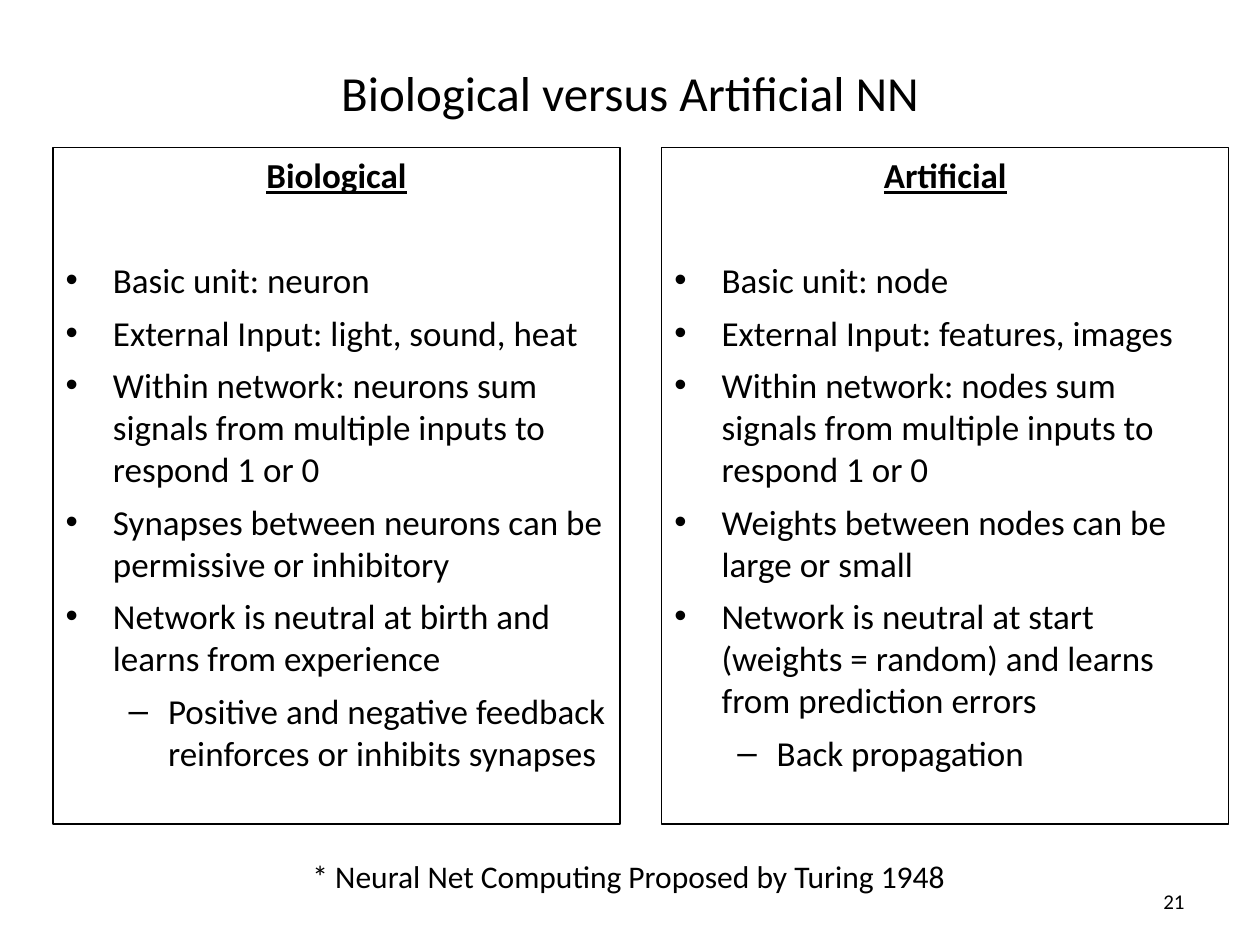
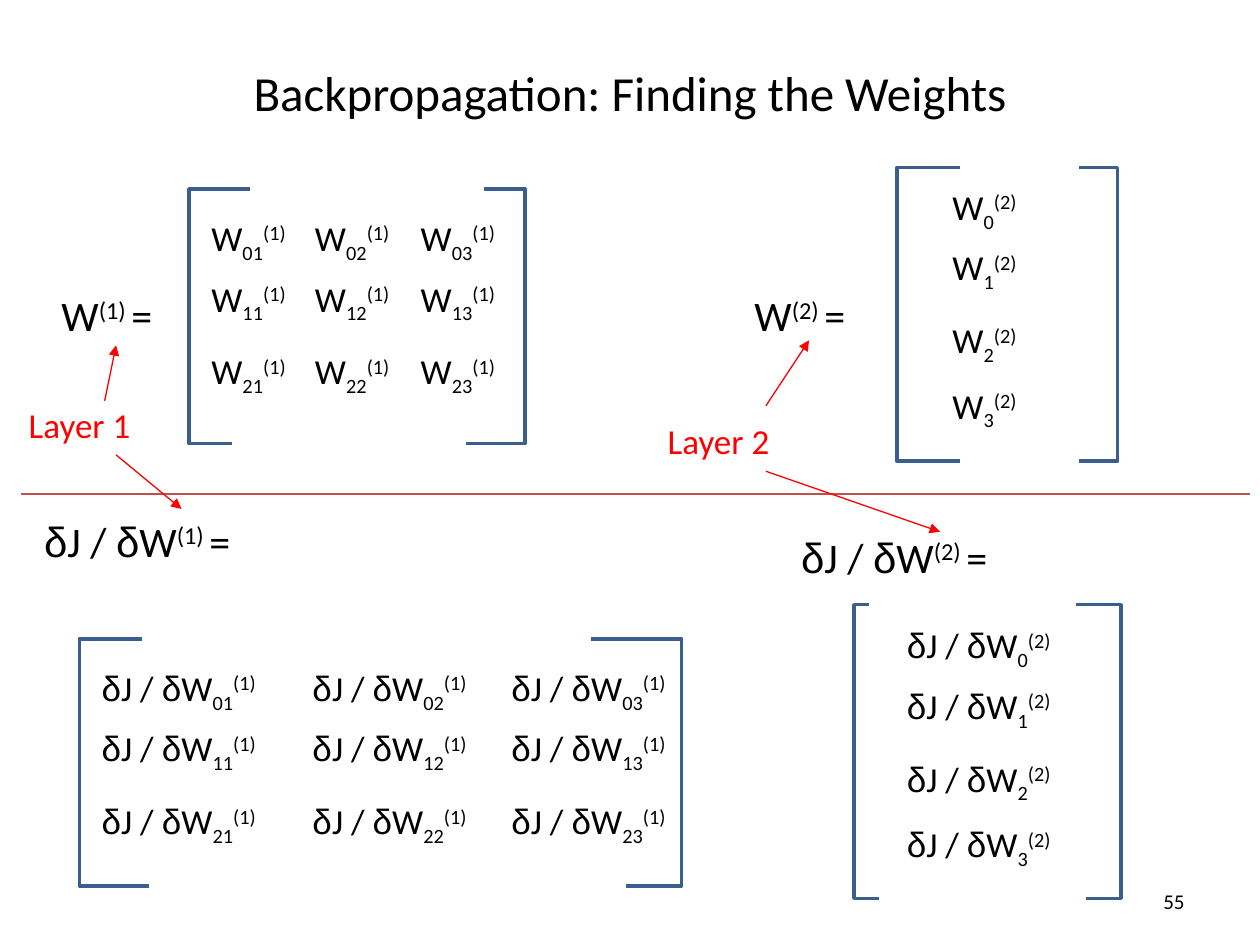
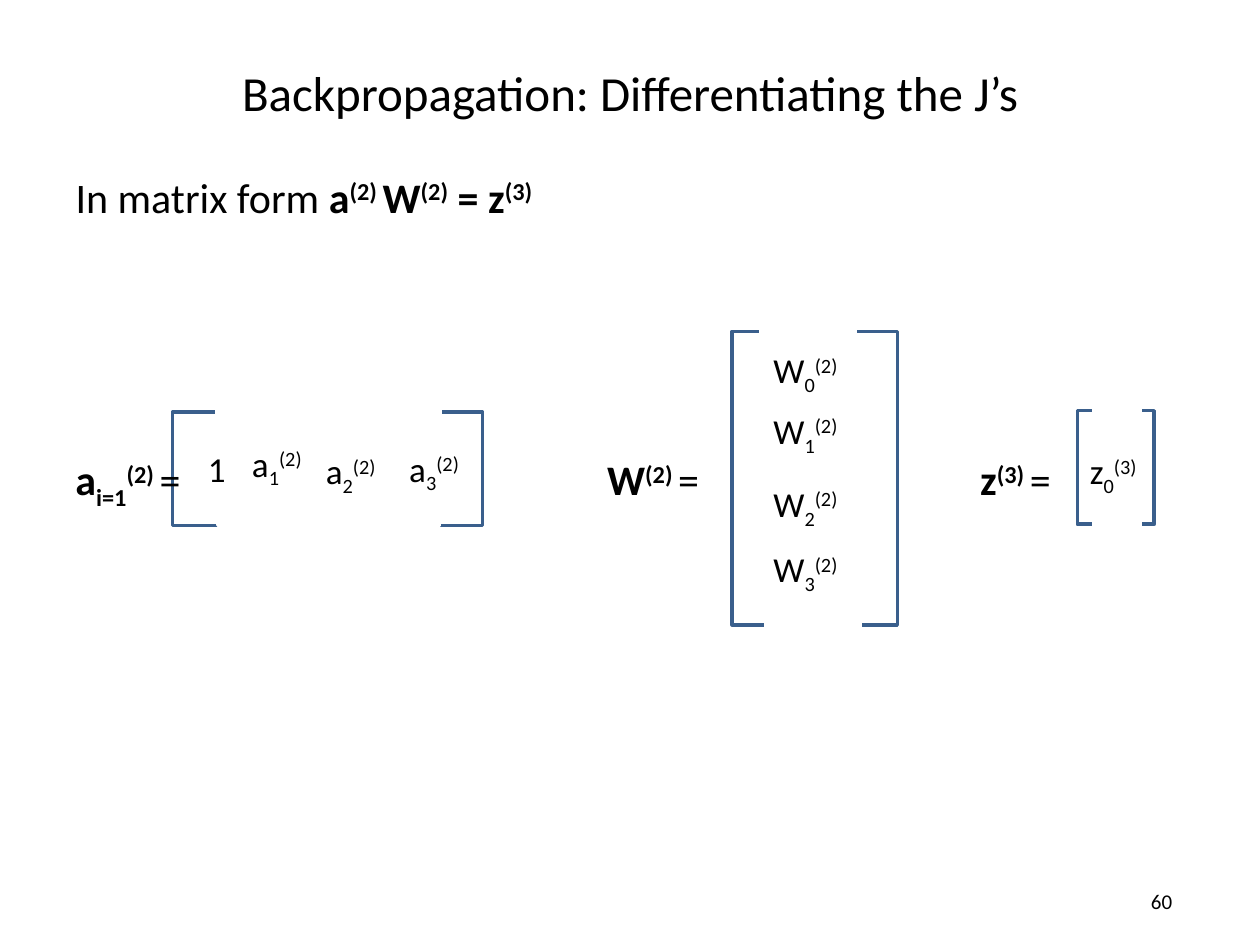
from lxml.etree import SubElement
from pptx import Presentation
from pptx.dml.color import RGBColor
from pptx.enum.shapes import MSO_CONNECTOR, MSO_SHAPE
from pptx.enum.text import MSO_ANCHOR, MSO_AUTO_SIZE, PP_ALIGN
from pptx.oxml.ns import qn
from pptx.util import Cm, Pt

BLACK = RGBColor(0x00, 0x00, 0x00)
WHITE = RGBColor(0xFF, 0xFF, 0xFF)
RED = RGBColor(0xFF, 0x00, 0x00)
BRICK = RGBColor(0xC0, 0x50, 0x4D)
BRACKET_BLUE = RGBColor(0x3A, 0x5F, 0x8C)

BASELINES = {"_": -25000, "^": 30000}
LINE_HEIGHTS = {24: 1.27, 20: 1.12, 18: 1.02, 12: 1.02}
MATRIX_ROWS = [0, 1.22, 2.69, 4.01]
DERIVATIVE = "δ|J / |δ|W"


def write(paragraph, markup, size, color=BLACK, **extra):
    """Add runs split at |, where ! marks bold, _ subscript and ^ superscript."""
    for part in markup.split("|"):
        bold = part.startswith("!")
        part = part.lstrip("!")
        baseline = BASELINES.get(part[0])
        run = paragraph.add_run()
        run.text = part[1:] if baseline else part
        font_format = {"name": "Arial" if part == "δ" else "Calibri",
                       "size": Pt(size), "bold": bold, **extra}
        for attribute, value in font_format.items():
            setattr(run.font, attribute, value)
        run.font.color.rgb = color
        if baseline:
            run.font._element.set("baseline", str(baseline))


def add_label(slide, markup, left, top, width, size=20, color=BLACK):
    label = slide.shapes.add_textbox(Cm(left), Cm(top), Cm(width), Cm(LINE_HEIGHTS[size]))
    label.text_frame.word_wrap = False
    write(label.text_frame.paragraphs[0], markup, size, color)
    return label.text_frame


presentation = Presentation()
presentation.slide_width, presentation.slide_height = Cm(25.4), Cm(19.05)

# Titles and page numbers: title, layout, page number, left of the number
pages = [
    ("Biological versus Artificial NN", 3, "21", 18.21),
    ("Backpropagation: Finding the Weights", 5, "55", 18.21),
    ("Backpropagation: Differentiating the J’s", 1, "60", 17.96),
]
for heading, layout, number, number_left in pages:
    slide = presentation.slides.add_slide(presentation.slide_layouts[layout])
    title = slide.shapes.title
    title.left, title.top, title.width, title.height = Cm(1.27), Cm(1.07), Cm(22.86), Cm(1.57)
    title.text_frame.vertical_anchor = MSO_ANCHOR.MIDDLE
    title.text_frame.auto_size = MSO_AUTO_SIZE.NONE
    title.text_frame.paragraphs[0].alignment = PP_ALIGN.CENTER
    write(title.text_frame.paragraphs[0], heading, 28)
    page_number = add_label(slide, number, number_left, 17.65, 5.92, 12)
    page_number.word_wrap = True
    page_number.vertical_anchor = MSO_ANCHOR.MIDDLE
    page_number.paragraphs[0].alignment = PP_ALIGN.RIGHT

comparison, weights, differentiation = presentation.slides

# Comparison: two framed lists, the last entry one level down
networks = [
    (1, 1.07, "Biological", [
        "Basic unit: neuron",
        "External Input: light, sound, heat",
        "Within network: neurons sum signals from multiple inputs to respond 1 or 0",
        "Synapses between neurons can be permissive or inhibitory",
        "Network is neutral at birth and learns from experience",
        "Positive and negative feedback reinforces or inhibits synapses",
    ]),
    (2, 13.34, "Artificial", [
        "Basic unit: node",
        "External Input: features, images",
        "Within network: nodes sum signals from multiple inputs to respond 1 or 0",
        "Weights between nodes can be large or small",
        "Network is neutral at start (weights = random) and learns from prediction errors",
        "Back propagation",
    ]),
]
for index, left, kind, traits in networks:
    column = comparison.placeholders[index]
    column.left, column.top, column.width, column.height = Cm(left), Cm(2.97), Cm(11.43), Cm(13.64)
    column.line.color.rgb = BLACK
    column.line.width = Pt(0.75)
    frame = column.text_frame
    frame.auto_size = MSO_AUTO_SIZE.NONE
    kind_line = frame.paragraphs[0]
    kind_line.alignment = PP_ALIGN.CENTER
    kind_line.space_before = Pt(6)
    write(kind_line, "!" + kind, 20, underline=True)
    properties = kind_line._p.get_or_add_pPr()
    properties.set("marL", "0")
    properties.set("indent", "0")
    SubElement(properties, qn("a:buNone"))
    for position, trait in enumerate(traits):
        entry = frame.add_paragraph()
        entry.level = 1 if trait == traits[-1] else 0
        entry.space_before = Pt(6 if position else 36)
        write(entry, trait, 20)
add_label(comparison, "* Neural Net Computing Proposed by Turing 1948", 6.05, 17.15, 13.56, 18)

# Matrix brackets: a frame whose top and bottom are opened by white bars
brackets = [
    (weights, (3.81, 3.81, 6.78, 5.13), (5.08, 3.61, 4.65, 0.43), (4.72, 8.69, 4.65, 0.43)),
    (weights, (18.08, 3.38, 4.45, 5.92), (19.38, 3.18, 2.34, 0.43), (19.38, 9.09, 2.34, 0.43)),
    (weights, (1.6, 12.88, 12.14, 4.98), (2.9, 12.62, 8.99, 0.48), (3.05, 17.58, 9.53, 0.43)),
    (weights, (17.22, 12.19, 5.38, 5.92), (17.55, 11.94, 4.11, 0.51), (17.75, 17.91, 4.11, 0.51)),
    (differentiation, (14.76, 6.68, 3.33, 5.92), (15.34, 6.55, 1.9, 0.33), (15.44, 12.42, 1.9, 0.33)),
    (differentiation, (21.72, 8.28, 1.55, 2.29), (22.05, 7.98, 0.94, 0.41), (22.05, 10.36, 0.94, 0.58)),
    (differentiation, (3.48, 8.31, 6.25, 2.29), (4.37, 8, 4.5, 0.41), (4.39, 10.29, 4.47, 0.3)),
]
for slide, outline, *openings in brackets:
    for box in (outline, *openings):
        bar = slide.shapes.add_shape(MSO_SHAPE.RECTANGLE, *map(Cm, box))
        bar.shadow.inherit = False
        bar.line.width = Pt(2)
        if box is outline:
            bar.fill.background()
            bar.line.color.rgb = BRACKET_BLUE
        else:
            bar.fill.solid()
            bar.fill.fore_color.rgb = WHITE
            bar.line.color.rgb = WHITE

# Matrix entries: symbol, layer, column lefts, top, entry width, row count
matrices = [
    (weights, "W", 1, [4.01, 6.1, 8.23], 4.24, 2.16, 3),
    (weights, "W", 2, [18.95], 3.61, 1.9, 4),
    (weights, DERIVATIVE, 1, [1.8, 6.05, 10.06], 13.31, 3.68, 3),
    (weights, DERIVATIVE, 2, [18.03], 12.45, 3.43, 4),
    (differentiation, "W", 2, [15.34], 6.91, 1.9, 4),
]
for slide, symbol, layer, lefts, top, width, row_count in matrices:
    for row, offset in enumerate(MATRIX_ROWS[:row_count]):
        for col, left in enumerate(lefts, start=1):
            subscript = f"{row}{col}" if len(lefts) > 1 else row
            add_label(slide, f"{symbol}|_{subscript}|^({layer})", left, top + offset, width)

# Names of the matrices
names = [
    (weights, "W|^(1) |=", 0.99, 5.72, 2.59),
    (weights, "W|^(2) |=", 14.96, 5.72, 2.59),
    (weights, DERIVATIVE + "|^(1) |=", 0.64, 10.26, 4.42),
    (weights, DERIVATIVE + "|^(2) |=", 15.9, 10.59, 4.42),
    (differentiation, "!a|!_i=1|!^(2) |=", 1.27, 9.02, 2.97),
    (differentiation, "!W|!^(2) |=", 11.99, 9.02, 2.59),
    (differentiation, "!z|!^(3) |=", 19.51, 9.02, 2.18),
]
for slide, name, left, top, width in names:
    add_label(slide, name, left, top, width, 24)

# Weights: layer captions, divider and arrows
add_label(weights, "Layer 1", 0.33, 8, 2.59, color=RED)
add_label(weights, "Layer 2", 13.21, 8.33, 2.59, color=RED)
lines = [
    ((25.2, 9.96, 0.43, 9.96), BRICK),
    ((2.11, 8.08, 2.34, 6.96), RED),
    ((2.34, 9.17, 3.66, 10.26), RED),
    ((15.44, 8.18, 16.31, 6.86), RED),
    ((15.44, 9.5, 18.95, 10.72), RED),
]
for ends, color in lines:
    connector = weights.shapes.add_connector(MSO_CONNECTOR.STRAIGHT, *map(Cm, ends))
    connector.line.color.rgb = color
    connector.line.width = Pt(0.75)
    if color == RED:
        SubElement(connector.line._get_or_add_ln(), qn("a:tailEnd"), type="triangle")
    SubElement(connector._element.spPr, qn("a:effectLst"))

# Differentiation: statement and the entries of a and z
statement = differentiation.placeholders[1]
statement.left, statement.top, statement.width, statement.height = Cm(1.27), Cm(3.33), Cm(22.86), Cm(14.02)
statement.text_frame.auto_size = MSO_AUTO_SIZE.NONE
equation = statement.text_frame.paragraphs[0]
write(equation, "In matrix form |!a|!^(2) |!W|!^(2)|! = z|!^(3)", 24)
properties = equation._p.get_or_add_pPr()
properties.set("marL", "0")
properties.set("indent", "0")
SubElement(properties, qn("a:buNone"))

entries = [
    ("1", 3.94, 8.89, 0.86),
    ("a|_1|^(2)", 4.83, 8.79, 1.63),
    ("a|_2|^(2)", 6.32, 8.94, 1.63),
    ("a|_3|^(2)", 8, 8.89, 1.63),
    ("z|_0|^(3)", 21.72, 8.94, 1.55),
]
for entry in entries:
    add_label(differentiation, *entry)

presentation.save("out.pptx")
